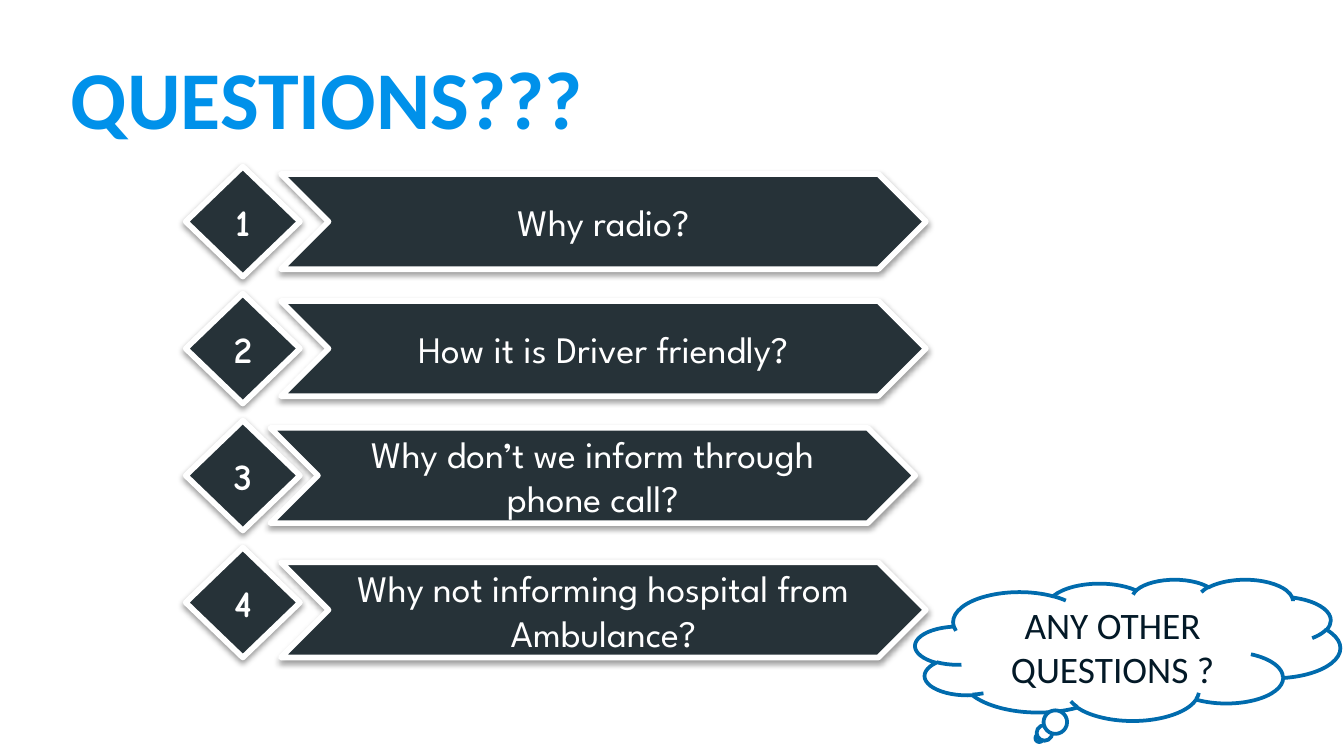
from lxml.etree import SubElement
from pptx import Presentation
from pptx.dml.color import RGBColor
from pptx.enum.shapes import MSO_SHAPE
from pptx.enum.text import MSO_ANCHOR, PP_ALIGN
from pptx.oxml.ns import qn
from pptx.util import Cm, Pt

WHITE = RGBColor(0xFF, 0xFF, 0xFF)
SLATE = RGBColor(0x26, 0x32, 0x38)
SKY = RGBColor(0x00, 0x91, 0xEA)
BLUE = RGBColor(0x00, 0x6B, 0xAD)
INK = RGBColor(0x03, 0x19, 0x27)

TITLE = "QUESTIONS???"
CLOSING = "ANY OTHER QUESTIONS ?"
QUESTIONS = [
    ("Why radio?", 0, 0),
    ("How it is Driver friendly?", 0, 0),
    ("Why don’t we inform through phone call?", -0.2, 0),
    ("Why not informing hospital from Ambulance?", 0, 0.14),
]

FIRST_MIDDLE, PITCH = 4.19, 2.4
DIAMOND_LEFT, DIAMOND_WIDTH, DIAMOND_HEIGHT = 3.51, 2.16, 2.08
BANNER_LEFT, BANNER_WIDTH, BANNER_HEIGHT = 5.31, 12.19, 1.8


def write(shape, text, font_name, size, color, bold=False, align=PP_ALIGN.CENTER, anchor=MSO_ANCHOR.MIDDLE):
    frame = shape.text_frame
    frame.word_wrap = True
    frame.vertical_anchor = anchor
    paragraph = frame.paragraphs[0]
    paragraph.text = text
    paragraph.alignment = align
    font = paragraph.font
    font.name, font.size, font.bold = font_name, Pt(size), bold
    font.color.rgb = color


def add_figure(kind, left, top, width, height, fill, line, line_width):
    shape = slide.shapes.add_shape(kind, Cm(left), Cm(top), Cm(width), Cm(height))
    shape.shadow.inherit = False
    shape.fill.solid()
    shape.fill.fore_color.rgb = fill
    shape.line.color.rgb = line
    shape.line.width = Pt(line_width)
    return shape


def cast_shadow(shape):
    effects = shape.element.spPr.find(qn("a:effectLst"))
    shadow = SubElement(effects, qn("a:outerShdw"), blurRad="40000", dist="20000", dir="5400000", rotWithShape="0")
    black = SubElement(shadow, qn("a:srgbClr"), val="000000")
    SubElement(black, qn("a:alpha"), val="38000")


def add_plate(kind, left, middle, width, height, text, font_name, bold):
    plate = add_figure(kind, left, middle - height / 2, width, height, SLATE, WHITE, 3)
    cast_shadow(plate)
    write(plate, text, font_name, 20, WHITE, bold)


presentation = Presentation()
presentation.slide_width, presentation.slide_height = Cm(25.4), Cm(14.29)
slide = presentation.slides.add_slide(presentation.slide_layouts[6])

title = slide.shapes.add_textbox(Cm(1.09), Cm(0.53), Cm(16.21), Cm(2.36))
write(title, TITLE, "Calibri", 44, SKY, True, PP_ALIGN.LEFT, MSO_ANCHOR.BOTTOM)

for index, (question, shift_x, shift_y) in enumerate(QUESTIONS):
    middle = FIRST_MIDDLE + index * PITCH
    add_plate(MSO_SHAPE.FLOWCHART_DECISION, DIAMOND_LEFT, middle,
              DIAMOND_WIDTH, DIAMOND_HEIGHT, str(index + 1), "Comic Neue", True)
    add_plate(MSO_SHAPE.CHEVRON, BANNER_LEFT + shift_x, middle + shift_y,
              BANNER_WIDTH, BANNER_HEIGHT, question, "League Spartan", False)

cloud = add_figure(MSO_SHAPE.CLOUD_CALLOUT, 17.3, 10.95, 8.03, 2.67, WHITE, BLUE, 2)
write(cloud, CLOSING, "Calibri", 20, INK)

presentation.save("out.pptx")
